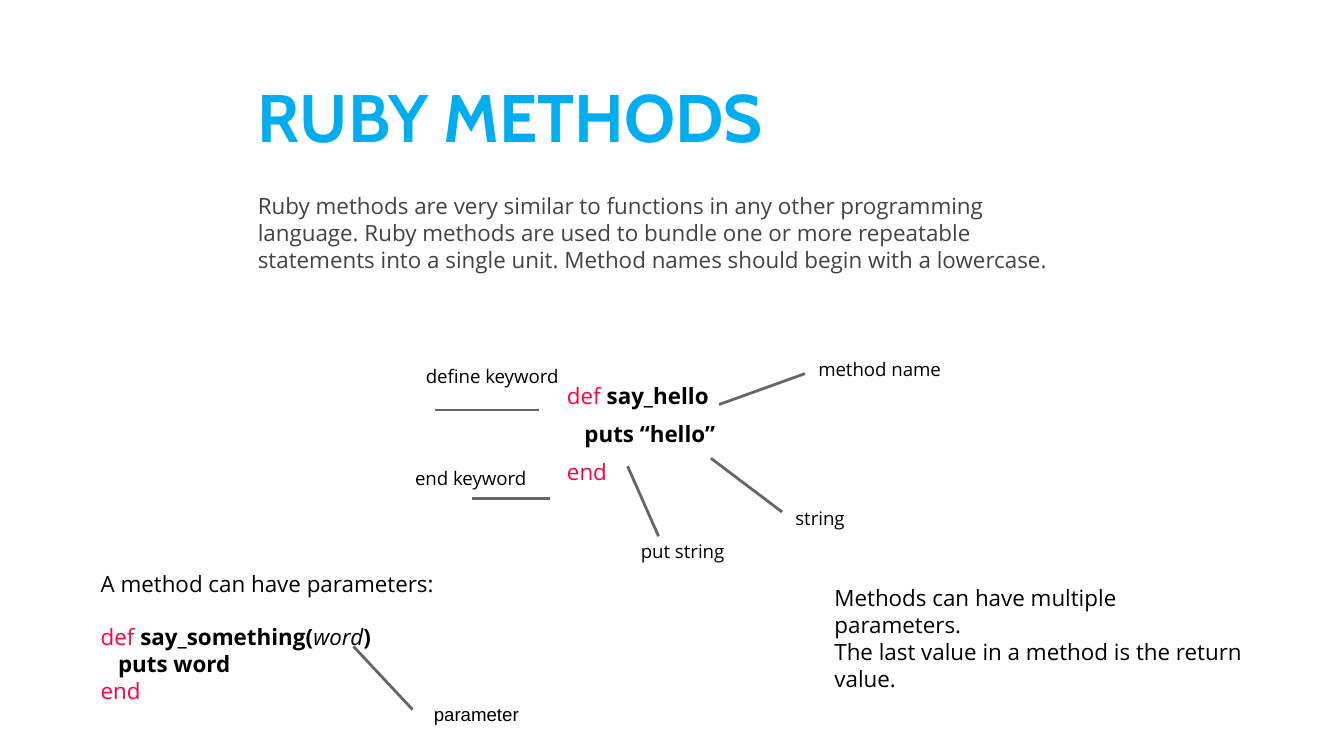
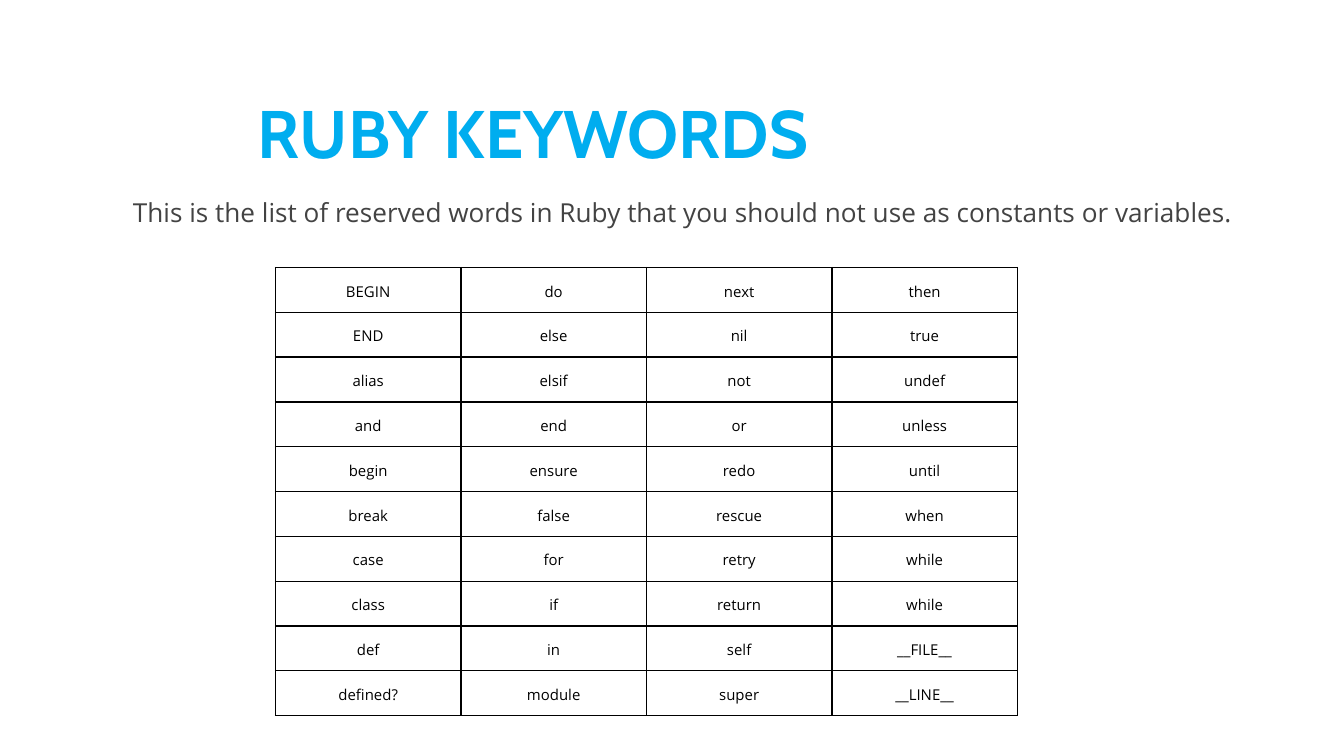
from dataclasses import dataclass

from lxml.etree import SubElement
from pptx import Presentation
from pptx.dml.color import RGBColor
from pptx.enum.shapes import MSO_CONNECTOR
from pptx.enum.text import MSO_ANCHOR, PP_ALIGN
from pptx.oxml import parse_xml
from pptx.oxml.ns import nsdecls, qn
from pptx.util import Inches, Pt


@dataclass(frozen=True)
class Theme:
    """Colours, fonts, type sizes and line widths of the deck."""
    blue: str = "00ADEF"
    red: str = "FF003E"
    black: str = "000000"
    dark: str = "434343"
    grey: str = "666666"
    head: str = "Cabin"
    body: str = "Open Sans"
    plain: str = "Arial"
    title: float = 36
    lead: float = 14
    text: float = 12
    label: float = 10
    cell: float = 8
    rule: float = 1.5
    grid: float = 0.75
    lines: float = 1.2


class Deck:
    """Hold the style and the current slide, and draw each kind of element."""

    def __init__(self, theme):
        self.theme = theme
        self.show = Presentation()
        self.show.slide_width = Inches(10)
        self.show.slide_height = Inches(10) * 9 // 16
        self.slide = None

    def page(self, title, top):
        """Start a slide with its title."""
        self.slide = self.show.slides.add_slide(self.show.slide_layouts[6])
        t = self.theme
        self.text((1.82, top, 6.36, 0.77), [[(title, t.blue, {"bold": True})]],
                  size=t.title, face=t.head, tight=False)

    def runs(self, para, parts, size, face):
        """Fill a paragraph with runs of (words, colour, format)."""
        for words, tint, form in parts:
            run = para.add_run()
            run.text = words
            base = {"size": Pt(size), "name": face}
            for key, value in {**base, **form}.items():
                setattr(run.font, key, value)
            run.font.color.rgb = RGBColor.from_string(tint)

    def text(self, box, rows, size=None, face=None, anchor=MSO_ANCHOR.TOP,
             tight=True, gaps=None, dents=None, inset=0.1):
        """Add a text box with one paragraph for each row."""
        size = size or self.theme.text
        frame = self.slide.shapes.add_textbox(*map(Inches, box)).text_frame
        form = {"word_wrap": True, "vertical_anchor": anchor,
                "margin_left": Inches(0.1), "margin_right": Inches(0.1),
                "margin_top": Inches(inset), "margin_bottom": Inches(0.1)}
        for key, value in form.items():
            setattr(frame, key, value)
        for i, parts in enumerate(rows):
            para = frame.paragraphs[0] if i == 0 else frame.add_paragraph()
            if tight:
                para.line_spacing = Pt(size * self.theme.lines)
            if gaps and i in gaps:
                para.space_before = Pt(gaps[i])
            if dents and i in dents:
                para._p.get_or_add_pPr().set("marL", str(Inches(dents[i])))
            self.runs(para, parts, size, face or self.theme.body)

    def label(self, words, box, **form):
        """Add a small black caption."""
        t = self.theme
        self.text(box, [[(words, t.black, {})]], size=t.label, tight=False,
                  **form)

    def line(self, start, end):
        """Add a straight pointer line."""
        line = self.slide.shapes.add_connector(
            MSO_CONNECTOR.STRAIGHT, *map(Inches, start + end))
        line.line.color.rgb = RGBColor.from_string(self.theme.grey)
        line.line.width = Pt(self.theme.rule)
        SubElement(line._element.spPr, qn("a:effectLst"))

    def edges(self, cell):
        """Draw the four borders of a cell."""
        t = self.theme
        cell.fill.background()
        props = cell._tc.get_or_add_tcPr()
        for i, side in enumerate("LRTB"):
            props.insert(i, parse_xml(
                f'<a:ln{side} {nsdecls("a")} w="{Pt(t.grid)}"><a:solidFill>'
                f'<a:srgbClr val="{t.black}"/></a:solidFill></a:ln{side}>'))

    def table(self, left, top, wide, high, rows):
        """Add a plain bordered table with even cells."""
        t = self.theme
        size = len(rows), len(rows[0])
        table = self.slide.shapes.add_table(
            *size, Inches(left), Inches(top),
            Inches(wide * size[1]), Inches(high * size[0])).table
        table.first_row = table.horz_banding = False
        for r, words in enumerate(rows):
            for c, word in enumerate(words):
                cell = table.cell(r, c)
                for side in ("left", "right", "top", "bottom"):
                    setattr(cell, f"margin_{side}", Inches(0.1))
                para = cell.text_frame.paragraphs[0]
                para.alignment = PP_ALIGN.CENTER
                self.runs(para, [(word, t.black, {})], t.cell, t.body)
                self.edges(cell)


def methods(deck):
    """Build the slide on methods."""
    t = deck.theme
    bold, slant = {"bold": True}, {"italic": True}
    deck.page("RUBY METHODS", 0.46)
    deck.text((1.82, 1.33, 6.36, 0.77), [[(
        "Ruby methods are very similar to functions in any other programming "
        "language. Ruby methods are used to bundle one or more repeatable "
        "statements into a single unit. Method names should begin with a "
        "lowercase.", t.dark, {})]])
    deck.text((0.65, 4.23, 3.28, 1.42), [
        [("A method can have parameters:", t.black, {})],
        [("def ", t.red, {}), ("say_something(", t.black, bold),
         ("word", t.black, slant), (")", t.black, bold)],
        [("puts word", t.black, bold)],
        [("end", t.red, {})],
    ], gaps={1: t.text * t.lines}, dents={2: 0.13}, inset=0.01)
    deck.text((6.11, 4.09, 3.28, 1.31), [
        [("Methods can have multiple parameters.", t.black, {})],
        [("The last value in a method is the return value.", t.black, {})],
    ], anchor=MSO_ANCHOR.MIDDLE)
    deck.text((4.12, 2.74, 1.75, 1.12), [
        [("def ", t.red, {}), ("say_hello", t.black, bold)],
        [("puts “hello”", t.black, bold)],
        [("end", t.red, {})],
    ], gaps=dict.fromkeys(range(3), 6), dents={1: 0.13})

    for start, end in (((4.01, 3.05), (3.24, 3.05)),
                       ((5.35, 3.01), (5.99, 2.78)),
                       ((5.82, 3.81), (5.29, 3.41)),
                       ((3.51, 3.71), (4.09, 3.71)),
                       ((4.9, 3.99), (4.67, 3.47)),
                       ((2.63, 4.81), (3.07, 5.28))):
        deck.line(start, end)
    for words, box in (("define keyword", (3.07, 2.63, 1.24, 0.36)),
                       ("method name", (5.99, 2.58, 1.17, 0.3)),
                       ("string", (5.82, 3.69, 0.57, 0.3)),
                       ("end keyword", (2.99, 3.39, 1.06, 0.18)),
                       ("put string", (4.67, 3.93, 1, 0.3))):
        deck.label(words, box)
    deck.label("parameter", (3.13, 4.81, 1.35, 1), face=t.plain,
               anchor=MSO_ANCHOR.MIDDLE)


def keywords(deck):
    """Build the slide on reserved words."""
    t = deck.theme
    deck.page("RUBY KEYWORDS", 0.58)
    words = (
        "BEGIN END alias and begin break case class def defined?",
        "do else elsif end ensure false for if in module",
        "next nil not or redo rescue retry return self super",
        "then true undef unless until when while while __FILE__ __LINE__",
    )
    rows = list(zip(*(col.split() for col in words)))
    deck.table(2.05, 1.99, 1.38, 0.3, rows)
    deck.text((0.89, 1.43, 8.69, 0.29), [[(
        "This is the list of reserved words in Ruby that you should not use "
        "as constants or variables.", t.dark, {})]],
        size=t.lead, anchor=MSO_ANCHOR.MIDDLE)


def main():
    """Build and save the deck."""
    deck = Deck(Theme())
    methods(deck)
    keywords(deck)
    deck.show.save("out.pptx")


if __name__ == "__main__":
    main()
